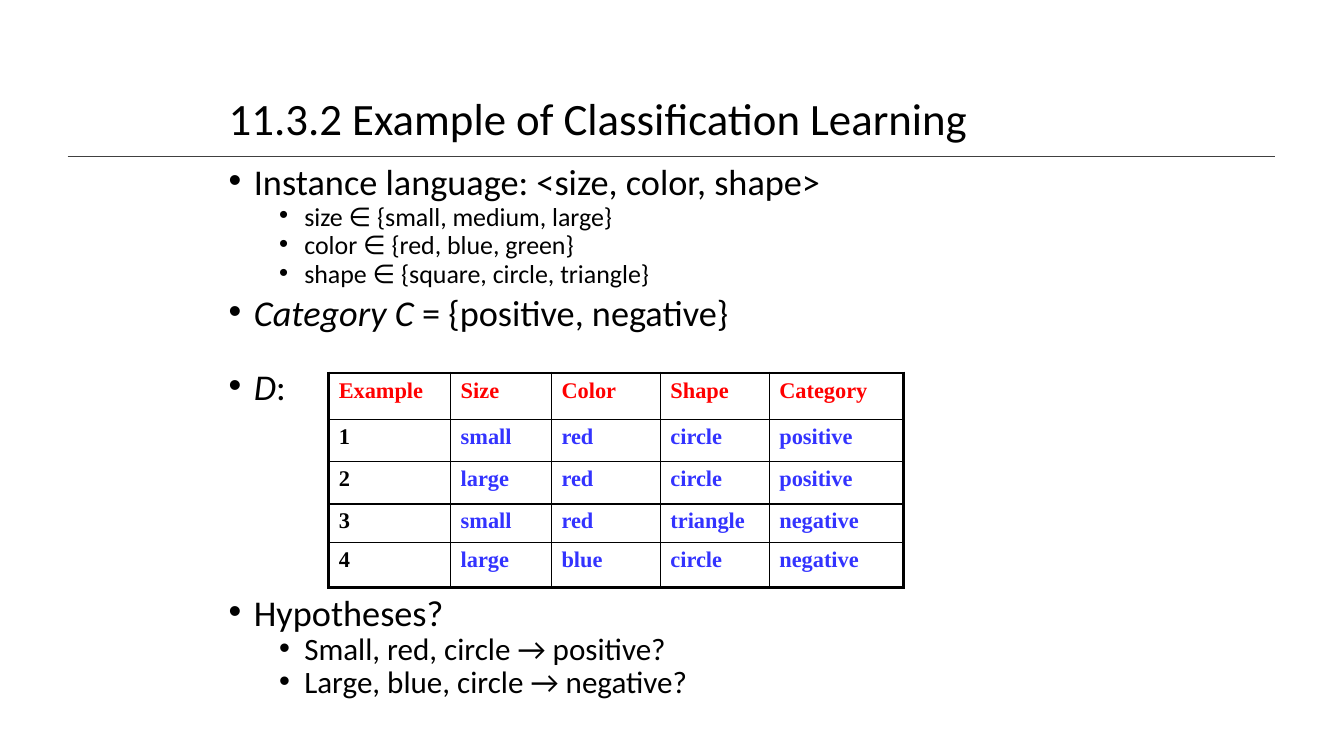
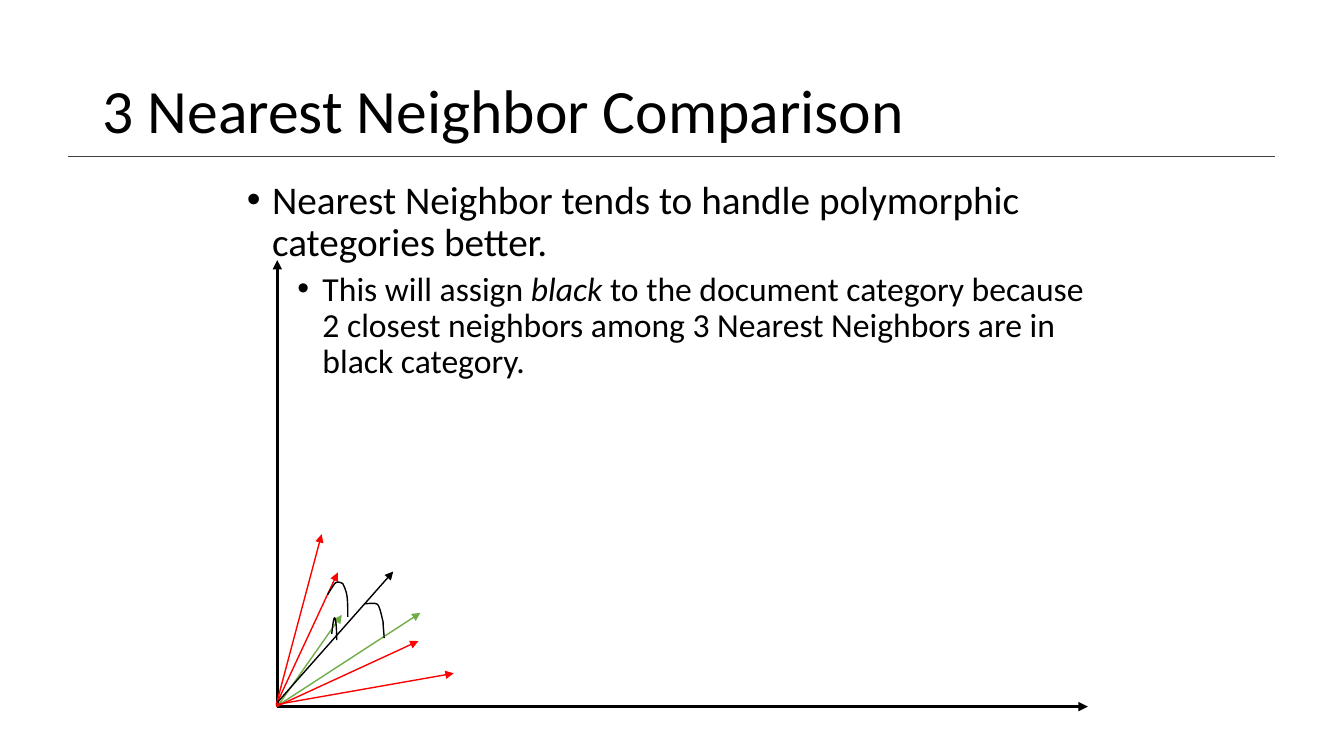
from itertools import pairwise

from lxml.etree import SubElement
from pptx import Presentation
from pptx.dml.color import RGBColor
from pptx.enum.shapes import MSO_CONNECTOR
from pptx.enum.text import MSO_ANCHOR
from pptx.oxml.ns import qn
from pptx.util import Inches, Pt

BLACK, RULE_GRAY = "000000", "404040"
RED, GREEN, BLUE = "FF0000", "70AD47", "3333FF"
BODY_FONT, TABLE_FONT = "Calibri", "Times New Roman"
THICK, THIN = 2.25, 1


def rgb(value):
    return RGBColor.from_string(value)


def add_run(p, text, size, color=BLACK, font=BODY_FONT, bold=False, italic=False):
    r = p.add_run()
    r.text = text
    r.font.size = Pt(size)
    r.font.name = font
    r.font.bold = bold
    r.font.italic = italic
    r.font.color.rgb = rgb(color)


def add_textbox(s, box, anchor):
    tf = s.shapes.add_textbox(*map(Inches, box)).text_frame
    tf.word_wrap = True
    tf.vertical_anchor = anchor
    return tf


def add_line(shapes, start, end, color, width=THIN, arrow=True):
    line = shapes.add_connector(MSO_CONNECTOR.STRAIGHT, *map(Inches, start + end))
    line.line.color.rgb = rgb(color)
    line.line.width = Pt(width)
    if arrow:
        SubElement(line.line._get_or_add_ln(), qn("a:tailEnd"), type="triangle")
    SubElement(line._element.spPr, qn("a:effectLst"))


def add_titled_slide(prs, title, box, size):
    s = prs.slides.add_slide(prs.slide_layouts[6])
    add_line(s.shapes, (0.67, 1.55), (12.65, 1.55), RULE_GRAY, arrow=False)
    p = add_textbox(s, box, MSO_ANCHOR.MIDDLE).paragraphs[0]
    p.line_spacing = 0.9
    add_run(p, title, size)
    return s


def add_bullets(s, box, spacing, items):
    tf = add_textbox(s, box, MSO_ANCHOR.TOP)
    for i, (level, size, before, runs) in enumerate(items):
        p = tf.paragraphs[0] if i == 0 else tf.add_paragraph()
        p.level = level
        p.line_spacing = spacing
        p.space_before = Pt(before)
        pPr = p._p.get_or_add_pPr()
        pPr.set("marL", str(Inches(0.25 + 0.5 * level)))
        pPr.set("indent", str(Inches(-0.25)))
        SubElement(pPr, qn("a:buFont"), typeface="Arial")
        SubElement(pPr, qn("a:buChar"), char="•")
        for text, italic in runs:
            add_run(p, text, size, italic=italic)


def set_border(cell, side, width):
    ln = SubElement(cell._tc.get_or_add_tcPr(), qn(f"a:ln{side}"), w=str(Pt(width)))
    fill = SubElement(ln, qn("a:solidFill"))
    SubElement(fill, qn("a:srgbClr"), val=BLACK)


def add_examples_table(s, left, top, widths, heights, rows):
    size = (left, top, sum(widths), sum(heights))
    table = s.shapes.add_table(len(rows), len(widths), *map(Inches, size)).table
    table.first_row = table.horz_banding = False
    for column, width in zip(table.columns, widths):
        column.width = Inches(width)
    for row, height in zip(table.rows, heights):
        row.height = Inches(height)
    last_row, last_col = len(rows) - 1, len(widths) - 1
    for i, row in enumerate(rows):
        for j, text in enumerate(row):
            cell = table.cell(i, j)
            outer = {"L": j == 0, "R": j == last_col, "T": i == 0, "B": i == last_row}
            for side, on_edge in outer.items():
                set_border(cell, side, THICK if on_edge else THIN)
            cell.fill.background()
            color = RED if i == 0 else BLACK if j == 0 else BLUE
            add_run(cell.text_frame.paragraphs[0], text, 16, color, TABLE_FONT, bold=True)


def bezier_points(a, b, c, d, steps=8):
    for k in range(1, steps + 1):
        t = k / steps
        weights = ((1 - t) ** 3, 3 * t * (1 - t) ** 2, 3 * t * t * (1 - t), t ** 3)
        yield tuple(sum(w * q[axis] for w, q in zip(weights, (a, b, c, d)))
                    for axis in (0, 1))


def add_curve(shapes, start, segments):
    ends = [start] + [segment[-1] for segment in segments]
    points = [point for (a, _), segment in zip(pairwise(ends), segments)
              for point in bezier_points(a, *segment)]
    builder = shapes.build_freeform(*map(Inches, start))
    builder.add_line_segments([tuple(map(Inches, q)) for q in points], close=False)
    sp = builder.convert_to_shape()
    sp.shadow.inherit = False
    sp.fill.background()
    sp.line.color.rgb = rgb(BLACK)
    sp.line.width = Pt(THIN)


def build_classification(prs):
    s = add_titled_slide(prs, "11.3.2 Example of Classification Learning",
                         (2.17, 0.88, 8.62, 0.64), 32)
    add_bullets(s, (2.17, 1.65, 9, 5.63), 0.7, [
        (0, 25.9, 10, [("Instance language: <size, color, shape>", False)]),
        (1, 18.5, 5, [("size ∈ {small, medium, large}", False)]),
        (1, 18.5, 5, [("color ∈ {red, blue, green}", False)]),
        (1, 18.5, 5, [("shape ∈ {square, circle, triangle}", False)]),
        (0, 25.9, 10, [("Category C ", True), ("= {positive, negative}", False)]),
        (0, 25.9, 31, [("D", True), (":", False)]),
        (0, 25.9, 140, [("Hypotheses?", False)]),
        (1, 22.2, 5, [("Small, red, circle → positive?", False)]),
        (1, 22.2, 5, [("Large, blue, circle → negative?", False)]),
    ])
    add_examples_table(
        s, 3.26, 3.7, (1.21, 1, 1.08, 1.08, 1.33), (0.46, 0.42, 0.42, 0.38, 0.45), [
            ("Example", "Size", "Color", "Shape", "Category"),
            ("1", "small", "red", "circle", "positive"),
            ("2", "large", "red", "circle", "positive"),
            ("3", "small", "red", "triangle", "negative"),
            ("4", "large", "blue", "circle", "negative"),
        ])


def build_neighbors(prs):
    s = add_titled_slide(prs, "3 Nearest Neighbor Comparison",
                         (0.92, 0.4, 11.5, 1.45), 44)
    add_bullets(s, (2.35, 1.74, 8.62, 5.01), 0.9, [
        (0, 28, 10, [("Nearest Neighbor tends to handle polymorphic categories better.",
                      False)]),
        (1, 24, 5, [("This will assign ", False), ("black", True),
                    (" to the document category because 2 closest neighbors among "
                     "3 Nearest Neighbors are in black category.", False)]),
    ])
    axes = s.shapes.add_group_shape().shapes
    add_line(axes, (2.75, 7), (2.75, 2.58), BLACK, THICK)
    add_line(axes, (2.75, 7.01), (10.79, 7.01), BLACK, THICK)

    for start, end, color in [
        ((2.74, 6.99), (3.19, 5.3), RED),
        ((2.74, 6.99), (3.35, 5.68), RED),
        ((2.75, 7.01), (3.39, 6.1), GREEN),
        ((2.74, 7.01), (4.17, 6.08), GREEN),
        ((2.74, 7.01), (4.15, 6.36), RED),
        ((2.74, 6.99), (4.5, 6.68), RED),
        ((2.75, 6.97), (3.9, 5.67), BLACK),
    ]:
        add_line(s.shapes, start, end, color)

    arcs = s.shapes.add_group_shape().shapes
    for start, segments in [
        ((3.29, 6.29), [((3.3, 6.2), (3.31, 6.12), (3.32, 6.13)),
                        ((3.33, 6.14), (3.34, 6.24), (3.34, 6.35))]),
        ((3.61, 5.99), [((3.64, 5.99), (3.71, 5.98), (3.73, 5.99)),
                        ((3.75, 5.99), (3.76, 6.02), (3.77, 6.05)),
                        ((3.78, 6.08), (3.79, 6.13), (3.8, 6.17)),
                        ((3.8, 6.22), (3.81, 6.28), (3.81, 6.33))]),
        ((3.25, 5.9), [((3.28, 5.85), (3.31, 5.8), (3.33, 5.78)),
                       ((3.36, 5.77), (3.38, 5.78), (3.4, 5.79)),
                       ((3.41, 5.81), (3.43, 5.85), (3.44, 5.9)),
                       ((3.45, 5.96), (3.45, 6.04), (3.45, 6.12))]),
    ]:
        add_curve(arcs, start, segments)


def main():
    prs = Presentation()
    prs.slide_width, prs.slide_height = Inches(13.33), Inches(7.5)
    build_classification(prs)
    build_neighbors(prs)
    prs.save("out.pptx")


if __name__ == "__main__":
    main()
